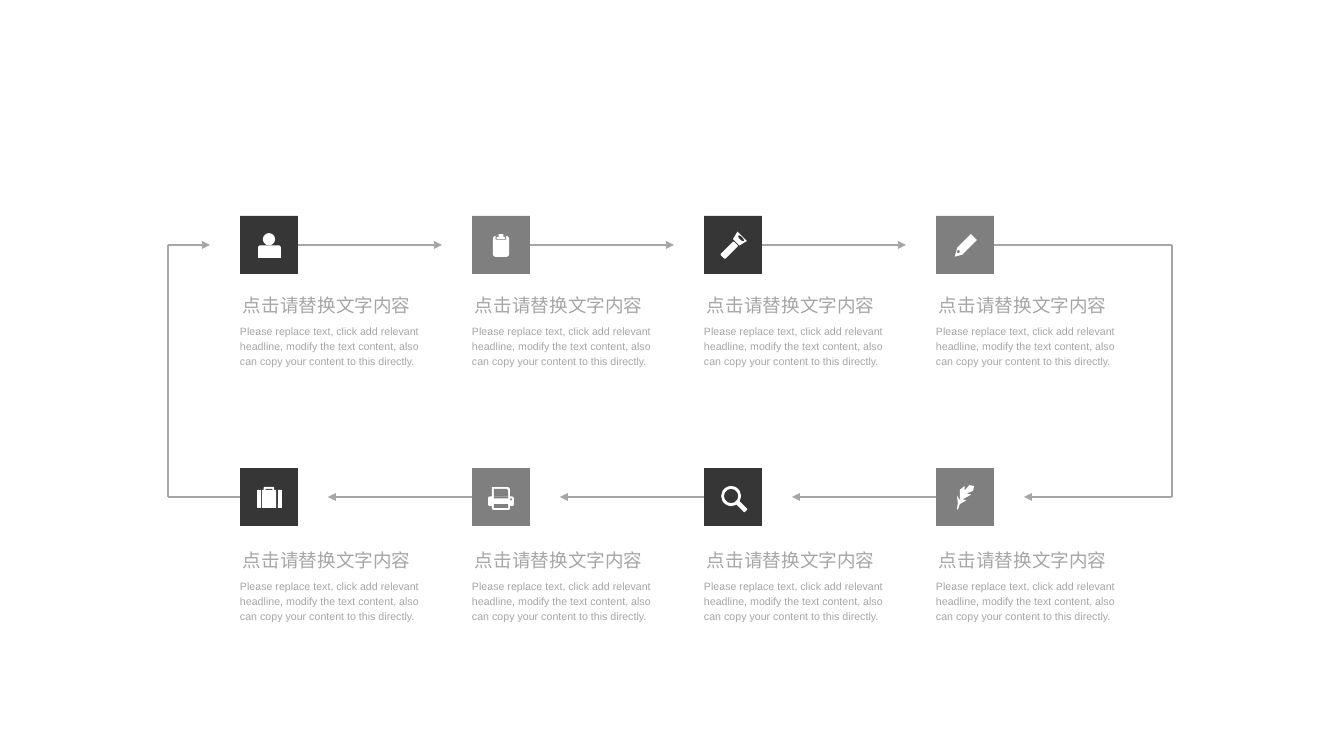
from dataclasses import dataclass

from lxml import etree
from pptx import Presentation
from pptx import util as u
from pptx.dml import color
from pptx.enum import shapes, text
from pptx.oxml import ns

EMU_PER_PX = 9565
TILE = 58
ICON_UNIT = TILE * EMU_PER_PX / 61  # icons are laid out on a grid of 61 units
RIGHT_SIDE, LEFT_SIDE = 3, 1

TITLE = "点击请替换文字内容"
BODY = ("Please replace text, click add relevant headline, modify the text "
        "content, also can copy your content to this directly.")

KIND = shapes.MSO_SHAPE
RECT, ROUNDED, OVAL = KIND.RECTANGLE, KIND.ROUNDED_RECTANGLE, KIND.OVAL


@dataclass(frozen=True)
class Theme:
    font: str = "Arial"
    dark: str = "363636"
    mid: str = "7F7F7F"
    light: str = "A6A6A6"
    icon: str = "FFFFFF"
    title_size: int = 14
    body_size: int = 8
    line_width: int = 1
    line_spacing: float = 1.2


@dataclass(frozen=True)
class Part:
    """One preset shape of an icon; a hole takes the colour of the tile."""
    kind: shapes.MSO_SHAPE
    box: tuple
    turn: int = 0
    hole: bool = False


ICONS = {
    "person": [Part(OVAL, (24, 18, 13, 13)),
               Part(KIND.ROUND_2_SAME_RECTANGLE, (19, 31, 24, 13))],
    "clipboard": [Part(ROUNDED, (22, 21, 17, 22)),
                  Part(RECT, (25, 21, 11, 4), hole=True),
                  Part(RECT, (26, 22, 9, 2)),
                  Part(RECT, (28, 19, 5, 3))],
    "flashlight": [Part(ROUNDED, (23, 26, 7, 20), 45),
                   Part(KIND.TRAPEZOID, (30, 20, 14, 9), 225),
                   Part(OVAL, (35, 22, 8, 3), 45, hole=True)],
    "pencil": [Part(RECT, (28, 19, 9, 21), 45),
               Part(KIND.ISOSCELES_TRIANGLE, (18, 36, 9, 8), 225),
               Part(OVAL, (22, 36, 3, 3), hole=True)],
    "suitcase": [Part(ROUNDED, (25, 20, 11, 5)),
                 Part(RECT, (27, 22, 7, 1), hole=True),
                 Part(RECT, (23, 23, 15, 19)),
                 Part(ROUNDED, (18, 23, 4, 19)),
                 Part(ROUNDED, (40, 23, 4, 19))],
    "printer": [Part(KIND.SNIP_1_RECTANGLE, (21, 20, 19, 12)),
                Part(KIND.SNIP_1_RECTANGLE, (23, 22, 15, 10), hole=True),
                Part(ROUNDED, (17, 30, 27, 10)),
                Part(RECT, (23, 30, 15, 2), hole=True),
                Part(ROUNDED, (21, 36, 19, 8)),
                Part(RECT, (23, 38, 15, 4), hole=True),
                Part(OVAL, (40, 32, 2, 2), hole=True)],
    "magnifier": [Part(KIND.DONUT, (18, 19, 21, 21)),
                  Part(ROUNDED, (37, 34, 5, 13), 135)],
    "feather": [],
}
FEATHER = [(23, 44), (25, 38), (32, 34), (28, 33), (37, 28), (32, 27), (39, 24),
           (40, 19), (35, 18), (30, 24), (30, 19), (25, 23), (25, 34), (22, 29),
           (23, 37), (22, 43)]


def px(length):
    return u.Emu(length * EMU_PER_PX)


class SlideBuilder:
    def __init__(self, slide, theme):
        self.slide = slide
        self.theme = theme

    def paint(self, shape, fill):
        shape.shadow.inherit = False
        shape.fill.solid()
        shape.fill.fore_color.rgb = color.RGBColor.from_string(fill)
        shape.line.fill.background()

    def tile(self, left, top, fill, icon):
        """Draw a square with its icon as one group and return the square."""
        group = self.slide.shapes.add_group_shape()
        square = group.shapes.add_shape(RECT, px(left), px(top), px(TILE), px(TILE))
        self.paint(square, fill)
        for part in ICONS[icon]:
            x, y, width, height = (round(side * ICON_UNIT) for side in part.box)
            shape = group.shapes.add_shape(
                part.kind, px(left) + x, px(top) + y, width, height)
            shape.rotation = part.turn
            if part.kind == KIND.DONUT:
                shape.adjustments[0] = 0.14
            self.paint(shape, fill if part.hole else self.theme.icon)
        if icon == "feather":
            outline = group.shapes.build_freeform(*FEATHER[0], scale=ICON_UNIT)
            outline.add_line_segments(FEATHER[1:], close=True)
            self.paint(outline.convert_to_shape(px(left), px(top)), self.theme.icon)
        return square

    def line(self, start, end, arrow=False, tile=None, side=None):
        """Draw a straight line, joined to a side of a tile when one is given."""
        connector = self.slide.shapes.add_connector(
            shapes.MSO_CONNECTOR.STRAIGHT, *map(px, start + end))
        if tile is not None:
            connector.begin_connect(tile, side)
        connector.line.color.rgb = color.RGBColor.from_string(self.theme.light)
        connector.line.width = u.Pt(self.theme.line_width)
        properties = connector._element.spPr
        if arrow:
            outline = properties.find(ns.qn("a:ln"))
            etree.SubElement(outline, ns.qn("a:tailEnd"), type="triangle")
        etree.SubElement(properties, ns.qn("a:effectLst"))

    def text(self, left, top, width, height, words, size):
        box = self.slide.shapes.add_textbox(px(left), px(top), px(width), px(height))
        frame = box.text_frame
        frame.margin_left = frame.margin_right = 0
        frame.margin_top = frame.margin_bottom = 0
        frame.word_wrap = True
        frame.auto_size = text.MSO_AUTO_SIZE.SHAPE_TO_FIT_TEXT
        frame.text = words
        paragraph = frame.paragraphs[0]
        paragraph.line_spacing = self.theme.line_spacing
        font = paragraph.runs[0].font
        font.name = self.theme.font
        font.size = u.Pt(size)
        font.color.rgb = color.RGBColor.from_string(self.theme.light)


def main():
    presentation = Presentation()
    presentation.slide_width, presentation.slide_height = px(1344), px(756)
    slide = presentation.slides.add_slide(presentation.slide_layouts[6])
    theme = Theme()
    builder = SlideBuilder(slide, theme)

    arrow_gap = 30
    loop_left, loop_right = 168, 1172
    lefts = [240 + 232 * column for column in range(4)]
    rows = [  # tile top, caption top, icons
        (216, 290, ("person", "clipboard", "flashlight", "pencil")),
        (468, 545, ("suitcase", "printer", "magnifier", "feather")),
    ]
    upper, lower = (top + TILE // 2 for top, _, _ in rows)

    tiles = []
    for top, caption_top, icons in rows:
        for column, (left, icon) in enumerate(zip(lefts, icons)):
            fill = theme.mid if column % 2 else theme.dark
            tiles.append(builder.tile(left, top, fill, icon))
            builder.text(left + 3, caption_top, 238, 25, TITLE, theme.title_size)
            builder.text(left, caption_top + 32, 193, 45, BODY, theme.body_size)
    upper_tiles, lower_tiles = tiles[:4], tiles[4:]

    for column in range(3):
        left, following = lefts[column], lefts[column + 1]
        builder.line((left + TILE, upper), (following - arrow_gap, upper),
                     True, upper_tiles[column], RIGHT_SIDE)
        builder.line((following, lower), (left + TILE + arrow_gap, lower),
                     True, lower_tiles[column + 1], LEFT_SIDE)

    last_right = lefts[-1] + TILE
    builder.line((last_right, upper), (loop_right, upper),
                 tile=upper_tiles[-1], side=RIGHT_SIDE)
    builder.line((loop_right, upper), (loop_right, lower))
    builder.line((loop_right, lower), (last_right + arrow_gap, lower), True)
    builder.line((lefts[0], lower), (loop_left, lower),
                 tile=lower_tiles[0], side=LEFT_SIDE)
    builder.line((loop_left, lower), (loop_left, upper))
    builder.line((loop_left, upper), (lefts[0] - arrow_gap, upper), True)

    presentation.save("out.pptx")


if __name__ == "__main__":
    main()
